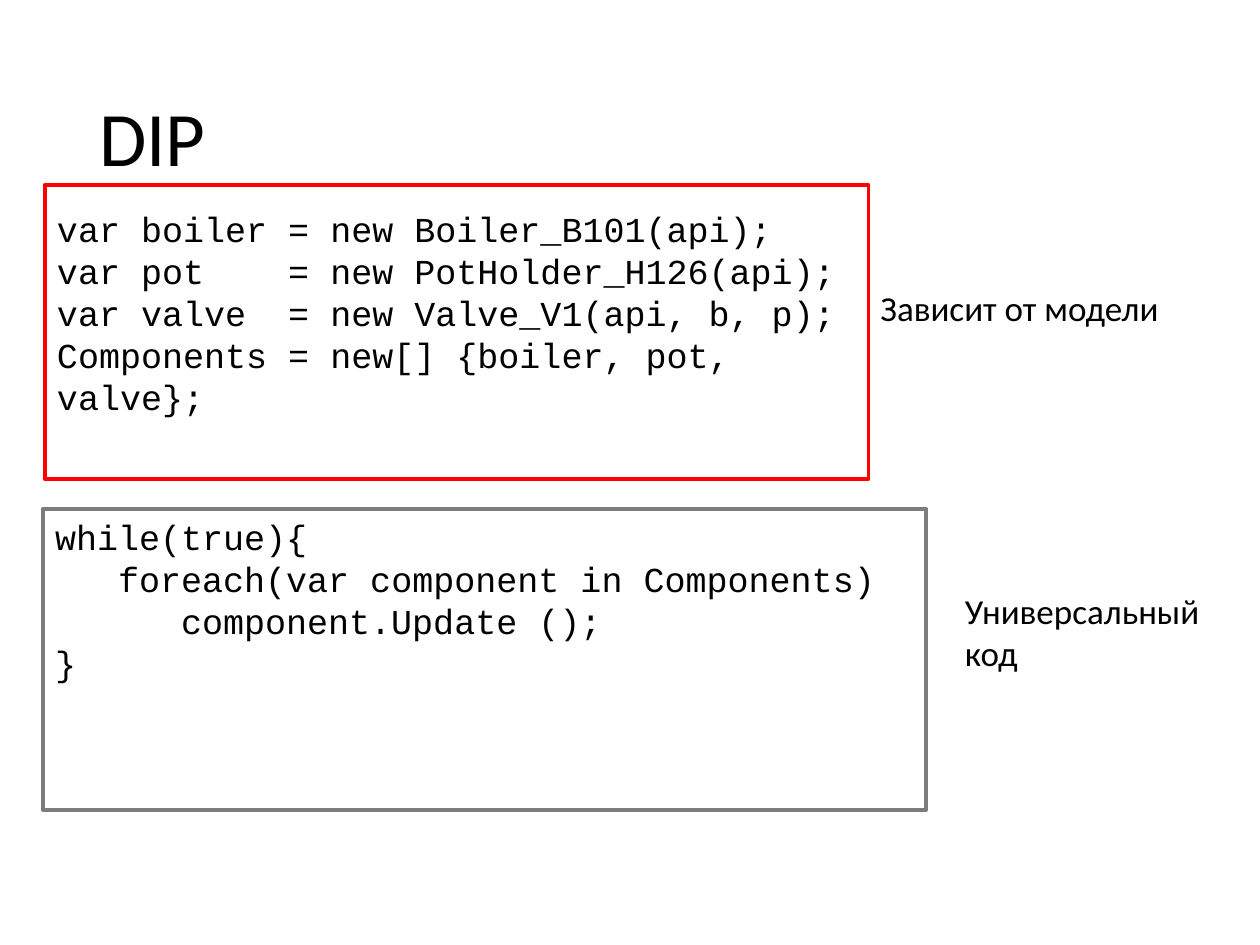
from pptx import Presentation
from pptx.dml.color import RGBColor
from pptx.enum.shapes import MSO_SHAPE
from pptx.enum.text import MSO_ANCHOR, PP_ALIGN
from pptx.util import Cm, Pt

RECTANGLE = MSO_SHAPE.RECTANGLE
TOP, MIDDLE = MSO_ANCHOR.TOP, MSO_ANCHOR.MIDDLE
LEFT = PP_ALIGN.LEFT
BLANK_LAYOUT = 6
TEXT_FONT, CODE_FONT = "Calibri", "Courier New"
BLACK, RED, GRAY = "000000", "FF0000", "7C7C7C"
INDENT_STEP = Cm(1.27)

SETUP_CODE = [
    (0, "var boiler = new Boiler_B101(api);"),
    (0, "var pot    = new PotHolder_H126(api);"),
    (0, "var valve  = new Valve_V1(api, b, p);"),
    (0, "Components = new[] {boiler, pot, valve};"),
]
LOOP_CODE = [
    (0, "while(true){"),
    (1, "foreach(var component in Components)"),
    (2, "component.Update ();"),
    (0, "}"),
]


def color(value):
    """Return the colour for a hex string."""
    return RGBColor.from_string(value)


def add_run(paragraph, text, font_name, size):
    """Append one black run to a paragraph."""
    run = paragraph.add_run()
    run.text = text
    run.font.name = font_name
    run.font.size = Pt(size)
    run.font.color.rgb = color(BLACK)


def add_label(slide, box, lines, size=20, anchor=TOP, wrap=False):
    """Add a text box whose lines are parted by line breaks."""
    shape = slide.shapes.add_textbox(*map(Cm, box))
    frame = shape.text_frame
    frame.word_wrap = wrap
    frame.vertical_anchor = anchor
    paragraph = frame.paragraphs[0]
    for number, line in enumerate(lines):
        if number:
            paragraph.add_line_break()
        add_run(paragraph, line, TEXT_FONT, size)
    return paragraph


def add_code_box(slide, box, line_color, code, anchor, bottom_margin=0.13):
    """Add an outlined rectangle holding indented lines of code."""
    shape = slide.shapes.add_shape(RECTANGLE, *map(Cm, box))
    shape.shadow.inherit = False
    shape.fill.background()
    shape.line.color.rgb = color(line_color)
    shape.line.width = Pt(2.25)
    frame = shape.text_frame
    frame.word_wrap = True
    frame.vertical_anchor = anchor
    frame.margin_bottom = Cm(bottom_margin)
    for number, (level, text) in enumerate(code):
        paragraph = frame.add_paragraph() if number else frame.paragraphs[0]
        paragraph.alignment = LEFT
        if level:
            properties = paragraph._p.get_or_add_pPr()
            properties.set("marL", str(level * INDENT_STEP))
            properties.set("indent", "0")
        add_run(paragraph, text, CODE_FONT, 20)


def main():
    """Build the slide and save it."""
    presentation = Presentation()
    presentation.slide_width = Cm(25.4)
    presentation.slide_height = Cm(19.05)
    slide = presentation.slides.add_slide(presentation.slide_layouts[BLANK_LAYOUT])

    title = add_label(slide, (1.75, 1.02, 21.9, 3.68), ["DIP"], 44, MIDDLE, True)
    title.line_spacing = 0.9
    add_code_box(slide, (0.9, 3.73, 16.61, 5.92), RED, SETUP_CODE, MIDDLE, 0.9)
    add_code_box(slide, (0.86, 10.26, 17.81, 6.07), GRAY, LOOP_CODE, TOP)
    add_label(slide, (19.2, 11.76, 5.46, 1.96), ["Универсальный ", "код"])
    add_label(slide, (17.5, 5.66, 6.32, 1.12), ["Зависит от модели"])
    presentation.save("out.pptx")


if __name__ == "__main__":
    main()
